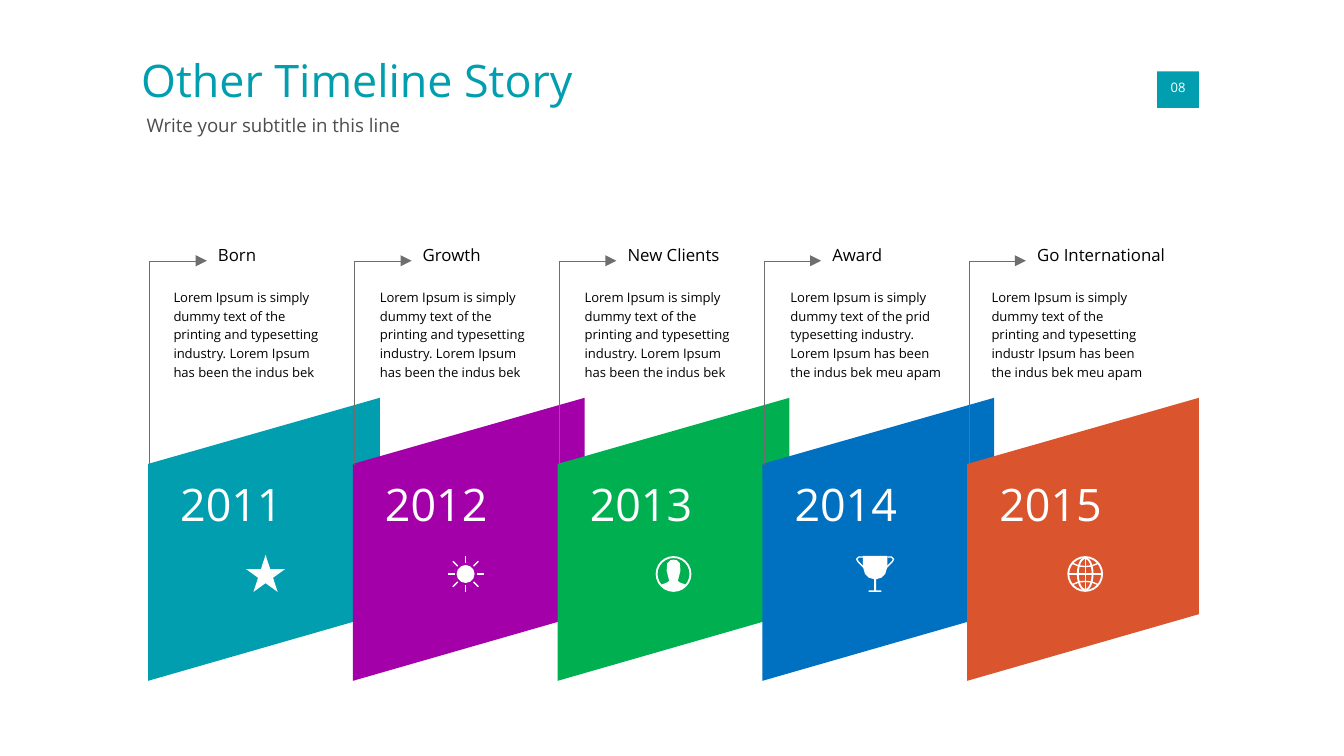
"""Build a five-step timeline slide with slanted panels, elbow arrows and icons."""
from math import cos, pi, sin

from lxml.etree import SubElement
from pptx import Presentation
from pptx.dml.color import RGBColor
from pptx.enum.shapes import MSO_CONNECTOR, MSO_SHAPE
from pptx.enum.text import PP_ALIGN
from pptx.oxml.ns import qn
from pptx.util import Cm, Pt

COLORS = {
    "teal": "009EAF", "purple": "A300AA", "green": "00B050", "blue": "0070C0",
    "orange": "DA542D", "white": "FFFFFF", "black": "000000",
    "subtitle": "4D4D4D", "elbow": "6D6E70",
}
LOREM = "Lorem Ipsum\u00a0is simply dummy text of the "
BORN = LOREM + "printing and typesetting industry. Lorem Ipsum has been the indus bek"
AWARD = LOREM + "prid typesetting industry. Lorem Ipsum has been the indus bek meu apam"
GLOBAL = LOREM + "printing and typesetting industr Ipsum has been the indus bek meu apam"
STEPS = [
    ("2011", "Born", BORN, "teal", 0.48),
    ("2012", "Growth", BORN, "purple", 0.51),
    ("2013", "New Clients", BORN, "green", 0.51),
    ("2014", "Award", AWARD, "blue", 0.53),
    ("2015", "Go International", GLOBAL, "orange", 0.46),
]
LEFT, STEP = 2.8, 3.87
ICON_Y = 10.85
SUN_X, PERSON_X, TROPHY_X, GLOBE_X = 8.8, 12.73, 16.54, 20.51

prs = Presentation()
prs.slide_width, prs.slide_height = Cm(25.4), Cm(14.29)
s = prs.slides.add_slide(prs.slide_layouts[6])


def paint(sp, fill=None, line=None, width=0.75):
    sp.shadow.inherit = False
    if fill:
        sp.fill.solid()
        sp.fill.fore_color.rgb = RGBColor.from_string(COLORS[fill])
    else:
        sp.fill.background()
    if line:
        sp.line.color.rgb = RGBColor.from_string(COLORS[line])
        sp.line.width = Pt(width)
    else:
        sp.line.fill.background()


def outline(points, x=0, y=0, closed=True):
    pts = [(Cm(x + dx), Cm(y + dy)) for dx, dy in points]
    builder = s.shapes.build_freeform(*pts[0])
    builder.add_line_segments(pts[1:], close=closed)
    return builder.convert_to_shape()


texts = [
    ("Other Timeline Story", 2.67, 0.99, 12.09, 1.24, 24, "teal", PP_ALIGN.LEFT, 1),
    ("Write your subtitle in this line", 2.77, 2.16, 17.55, 0.58, 10, "subtitle", PP_ALIGN.LEFT, 1),
    ("08", 21.87, 1.5, 0.79, 0.34, 7, "white", PP_ALIGN.CENTER, 1),
]
paint(s.shapes.add_shape(MSO_SHAPE.RECTANGLE, Cm(21.87), Cm(1.35), Cm(0.79), Cm(0.69)), "teal")

for i, (year, label, body, color, indent) in enumerate(STEPS):
    x = LEFT + i * STEP
    paint(outline([(0, 8.77), (4.38, 7.52), (4.38, 11.61), (0, 12.87)], x), color)
    elbow = outline([(0.03, 8.79), (0.03, 4.93), (1.11, 4.93)], x, closed=False)
    paint(elbow, line="elbow", width=0.25)
    SubElement(elbow.line._get_or_add_ln(), qn("a:tailEnd"), type="triangle")
    texts += [
        (year, x, 9.02, 3.15, 1.47, 24, "white", PP_ALIGN.CENTER, 1),
        (label, x + 1.32, 4.62, 2.51, 0.76, 9, "black", PP_ALIGN.LEFT, 1),
        (body, x + indent, 5.41, 2.87, 2.03, 7, "black", PP_ALIGN.LEFT, 1.2),
    ]

star = s.shapes.add_shape(MSO_SHAPE.STAR_5_POINT, Cm(4.65), Cm(10.49), Cm(0.74), Cm(0.7))
paint(star, "white")

bust = [(0, -0.27), (0.06, -0.26), (0.12, -0.2), (0.13, -0.06), (0.1, 0.06), (0.08, 0.13),
        (0.12, 0.16), (0.25, 0.21), (0.14, 0.3), (0, 0.33)]
cup = [(0.23, -0.34), (0.23, -0.13), (0.19, 0), (0.12, 0.07), (0.02, 0.1), (0.02, 0.31),
       (0.12, 0.31), (0.12, 0.34)]
for half, x in ((bust, PERSON_X), (cup, TROPHY_X)):
    paint(outline(half + [(-dx, dy) for dx, dy in reversed(half)], x, ICON_Y), "white")

handle = [(0.23, -0.32), (0.31, -0.32), (0.35, -0.28), (0.32, -0.23), (0.22, -0.13)]
latitude = [(-0.24, 0.2), (-0.12, 0.15), (0, 0.14), (0.12, 0.15), (0.24, 0.2)]
for side in (-1, 1):
    paint(outline([(side * dx, dy) for dx, dy in handle], TROPHY_X, ICON_Y, False), line="white")
    paint(outline([(dx, side * dy) for dx, dy in latitude], GLOBE_X, ICON_Y, False), line="white")

for x, rx, ry, fill, line in [
    (SUN_X, 0.17, 0.17, "white", None),
    (PERSON_X, 0.32, 0.32, None, "white"),
    (GLOBE_X, 0.32, 0.32, None, "white"),
    (GLOBE_X, 0.14, 0.3, None, "white"),
]:
    oval = s.shapes.add_shape(MSO_SHAPE.OVAL, Cm(x - rx), Cm(ICON_Y - ry), Cm(2 * rx), Cm(2 * ry))
    paint(oval, fill, line, 1)

spokes = [(SUN_X, k * pi / 4, 0.21, 0.34) for k in range(8)]
spokes += [(GLOBE_X, k * pi / 2, 0, 0.32) for k in range(4)]
for x, angle, inner, outer in spokes:
    ux, uy = cos(angle), sin(angle)
    ray = s.shapes.add_connector(
        MSO_CONNECTOR.STRAIGHT, Cm(x + inner * ux), Cm(ICON_Y + inner * uy),
        Cm(x + outer * ux), Cm(ICON_Y + outer * uy))
    ray.line.color.rgb = RGBColor.from_string(COLORS["white"])
    ray.line.width = Pt(0.75)
    SubElement(ray._element.spPr, qn("a:effectLst"))

for text, x, y, w, h, size, color, align, spacing in texts:
    tf = s.shapes.add_textbox(Cm(x), Cm(y), Cm(w), Cm(h)).text_frame
    tf.word_wrap = True
    tf.margin_left = tf.margin_right = tf.margin_top = tf.margin_bottom = 0
    p = tf.paragraphs[0]
    p.text = text
    p.alignment = align
    p.line_spacing = float(spacing)
    p.font.name = "Open Sans"
    p.font.size = Pt(size)
    p.font.color.rgb = RGBColor.from_string(COLORS[color])

prs.save("out.pptx")
